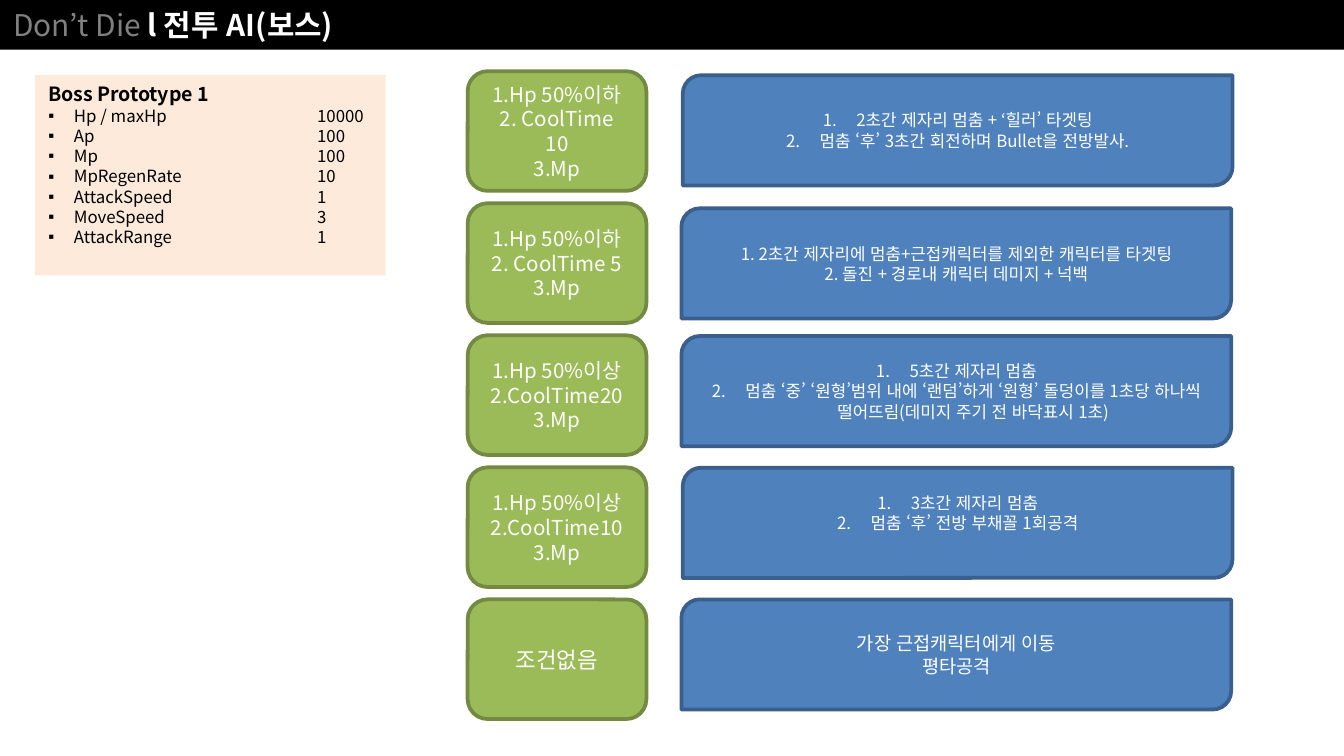
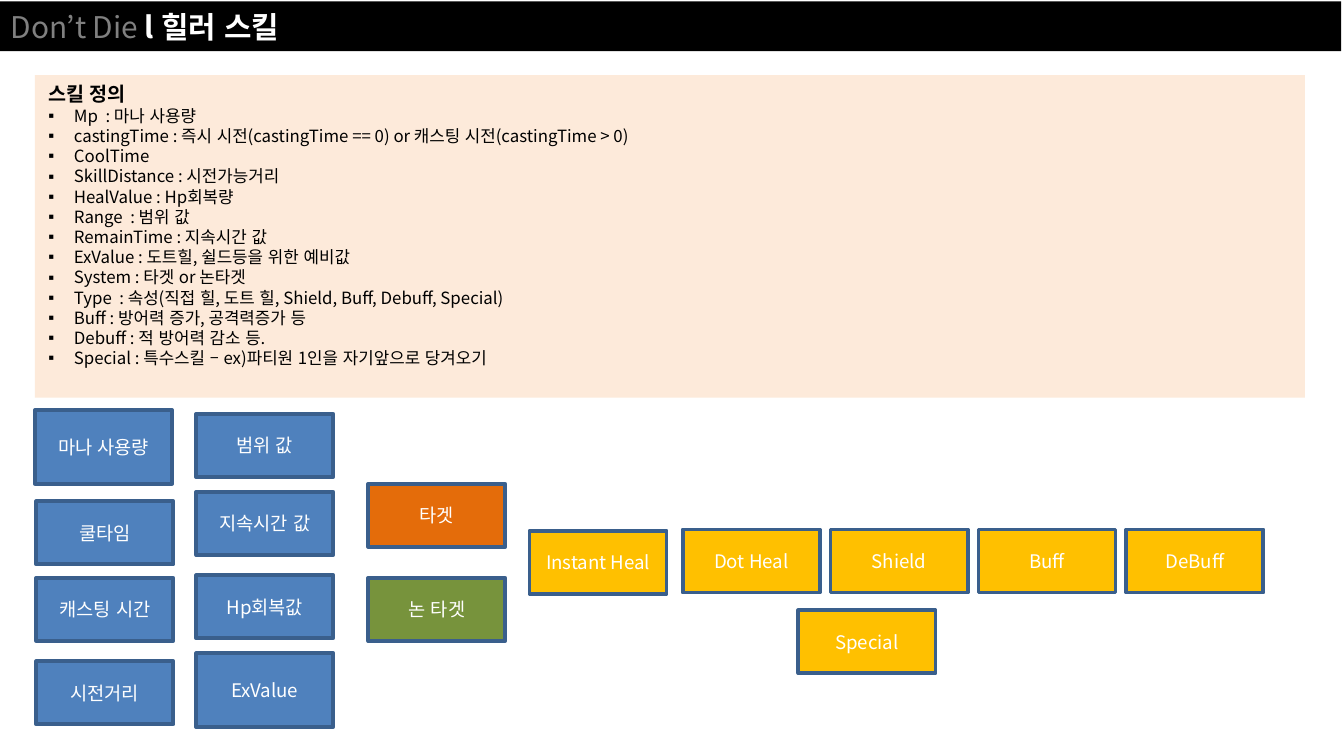
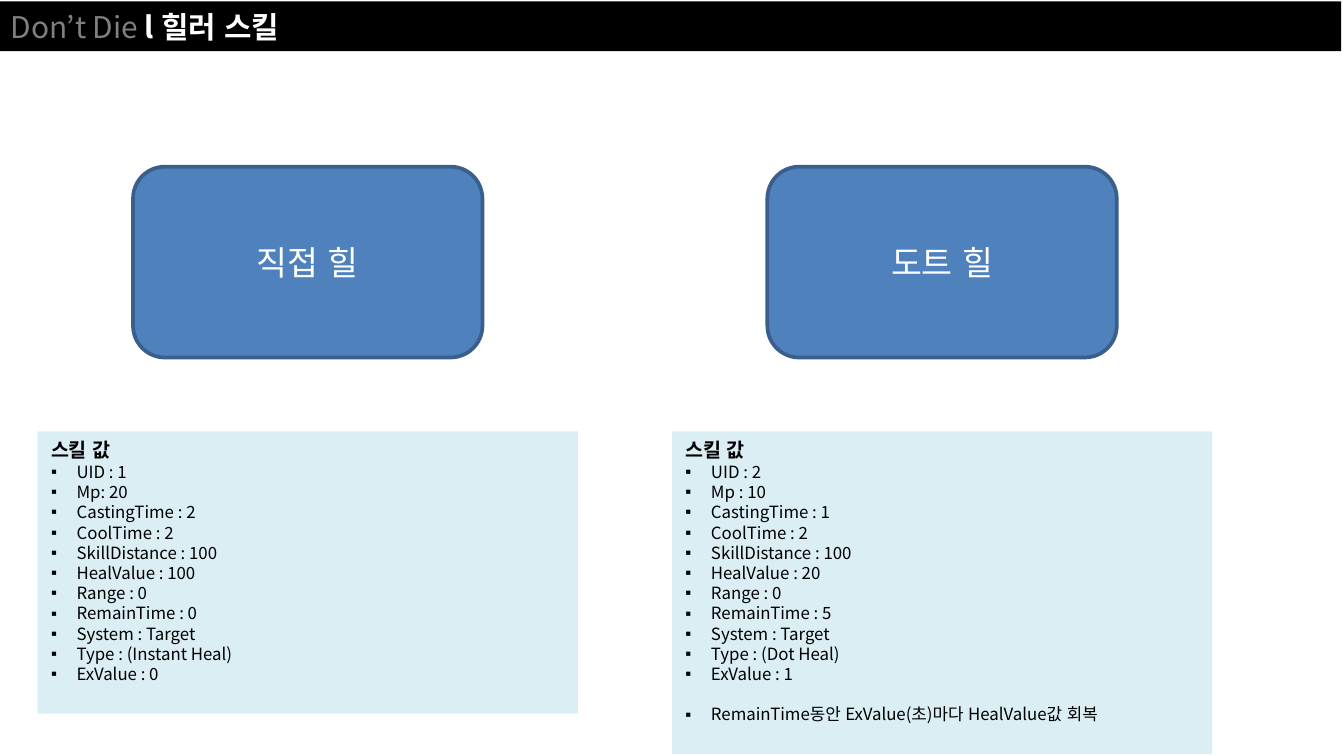
from dataclasses import dataclass
from typing import NamedTuple, Optional

from lxml import etree
from pptx import Presentation
from pptx.dml.color import RGBColor
from pptx.enum.lang import MSO_LANGUAGE_ID
from pptx.enum.shapes import MSO_SHAPE
from pptx.enum.text import MSO_ANCHOR, MSO_AUTO_SIZE, PP_ALIGN
from pptx.oxml.ns import qn
from pptx.util import Inches, Pt

RECTANGLE = MSO_SHAPE.RECTANGLE
ROUNDED = MSO_SHAPE.ROUNDED_RECTANGLE
DIAGONAL = MSO_SHAPE.ROUND_2_DIAG_RECTANGLE
LEFT, CENTER = PP_ALIGN.LEFT, PP_ALIGN.CENTER
TOP, MIDDLE = MSO_ANCHOR.TOP, MSO_ANCHOR.MIDDLE
NO_AUTOFIT = MSO_AUTO_SIZE.NONE
KOREAN = MSO_LANGUAGE_ID.KOREAN

ONE_CONTENT, TWO_CONTENTS = 1, 3
SQUARE_BULLET = "▪"
NUMBERED = "1."


@dataclass(frozen=True)
class Theme:
    font: str = "Noto Sans CJK KR"
    black: str = "000000"
    white: str = "FFFFFF"
    gray: str = "808080"
    peach: str = "FDEADA"
    ice: str = "DBEEF4"
    blue: str = "4F81BD"
    blue_line: str = "3A5F8C"
    green: str = "9BBB59"
    green_line: str = "738A42"
    orange: str = "E46C0A"
    olive: str = "77933C"
    gold: str = "FFC000"
    title_size: float = 16
    hero_size: float = 18
    fallback_size: float = 12
    condition_size: float = 11
    heading_size: float = 10.5
    label_size: float = 10
    body_size: float = 9
    body_line: float = 10.8
    border: float = 2


THEME = Theme()


class Box(NamedTuple):
    left: float
    top: float
    width: float
    height: float


@dataclass(frozen=True)
class Style:
    fill: str
    line: str = THEME.blue_line
    geometry: int = RECTANGLE
    size: float = THEME.label_size
    bullet: Optional[str] = None


@dataclass(frozen=True)
class BossRow:
    conditions: list[str]
    actions: list[str]
    action_left: float
    action_top: float
    bullet: Optional[str] = None
    condition_size: float = THEME.condition_size
    action_size: float = THEME.body_size
    bottom_space: float = 0


@dataclass(frozen=True)
class Chip:
    text: str
    left: float
    top: float
    fill: str = THEME.blue
    height: float = 0.47


@dataclass(frozen=True)
class Heal:
    name: str
    left: float
    panel_height: float
    values: list[str]
    note: Optional[str] = None


def color(value: str) -> RGBColor:
    return RGBColor.from_string(value)


def place(shape, box: Box) -> None:
    shape.left, shape.top = Inches(box.left), Inches(box.top)
    shape.width, shape.height = Inches(box.width), Inches(box.height)


def set_bullet(paragraph, bullet: Optional[str], indent: float) -> None:
    properties = paragraph._p.get_or_add_pPr()
    properties.set("marL", str(Inches(indent)))
    properties.set("indent", str(-Inches(indent)))
    properties.set("defTabSz", str(Inches(1)))
    if bullet is None:
        etree.SubElement(properties, qn("a:buNone"))
    elif bullet == NUMBERED:
        etree.SubElement(properties, qn("a:buFont"), typeface="+mj-lt")
        etree.SubElement(properties, qn("a:buAutoNum"), type="arabicPeriod")
    else:
        etree.SubElement(properties, qn("a:buChar"), char=bullet)


def write(paragraph, text: str, *, size: float, ink: str = THEME.white,
          bold: bool = False, align: int = CENTER, bullet: Optional[str] = None,
          indent: float = 0, before: float = 0) -> None:
    if not paragraph.runs:
        paragraph.alignment = align
        paragraph.space_before = Pt(before)
        paragraph.space_after = Pt(0)
        set_bullet(paragraph, bullet, indent)
    run = paragraph.add_run()
    run.text = text
    run.font.name = THEME.font
    run.font.size = Pt(size)
    run.font.bold = bold
    run.font.language_id = KOREAN
    run.font.color.rgb = color(ink)
    etree.SubElement(run._r.get_or_add_rPr(), qn("a:ea"), typeface=THEME.font)


def prepare_placeholder(shape, box: Box, fill: str, anchor: int):
    place(shape, box)
    shape.fill.solid()
    shape.fill.fore_color.rgb = color(fill)
    frame = shape.text_frame
    frame.word_wrap = True
    frame.auto_size = NO_AUTOFIT
    frame.vertical_anchor = anchor
    return frame


def add_slide(presentation, layout: int, title: str, left: float = -0.02, top: float = 0.01):
    slide = presentation.slides.add_slide(presentation.slide_layouts[layout])
    band = Box(left, top, 10, 0.37)
    frame = prepare_placeholder(slide.shapes.title, band, THEME.black, MIDDLE)
    paragraph = frame.paragraphs[0]
    write(paragraph, "Don’t Die ", size=THEME.title_size, ink=THEME.gray, align=LEFT)
    write(paragraph, f"l {title}", size=THEME.title_size, bold=True)
    return slide


def fill_panel(shape, box: Box, fill: str, heading: str, items: list[str],
               note: Optional[str] = None) -> None:
    frame = prepare_placeholder(shape, box, fill, TOP)
    write(frame.paragraphs[0], heading, size=THEME.heading_size, ink=THEME.black,
          bold=True, align=LEFT)
    entries = [(item, 0) for item in items]
    if note:
        entries.append((note, THEME.body_line))
    for text, before in entries:
        write(frame.add_paragraph(), text, size=THEME.body_size, ink=THEME.black,
              align=LEFT, bullet=SQUARE_BULLET, indent=0.19, before=before)


def add_card(slide, box: Box, lines: list[str], style: Style, bottom_space: float = 0) -> None:
    shape = slide.shapes.add_shape(style.geometry, 0, 0, 0, 0)
    place(shape, box)
    shape.shadow.inherit = False
    shape.fill.solid()
    shape.fill.fore_color.rgb = color(style.fill)
    shape.line.color.rgb = color(style.line)
    shape.line.width = Pt(THEME.border)
    frame = shape.text_frame
    frame.word_wrap = True
    frame.vertical_anchor = MIDDLE
    frame.margin_bottom = Inches(0.05 + bottom_space)
    for index, text in enumerate(lines):
        paragraph = frame.add_paragraph() if index else frame.paragraphs[0]
        write(paragraph, text, size=style.size, bullet=style.bullet,
              indent=0.25 if style.bullet else 0)


BOSS_STATS = {
    "Hp / maxHp": 10000, "Ap": 100, "Mp": 100, "MpRegenRate": 10,
    "AttackSpeed": 1, "MoveSpeed": 3, "AttackRange": 1,
}

FIRST_CONDITION_TOP, LAST_CONDITION_TOP = 0.53, 4.46

BOSS_ROWS = [
    BossRow(["1.Hp 50%이하", "2. CoolTime 10", "3.Mp"],
            ["2초간 제자리 멈춤 + ‘힐러’ 타겟팅",
             "멈춤 ‘후’ 3초간 회전하며 Bullet을 전방발사."],
            5.08, 0.56, NUMBERED),
    BossRow(["1.Hp 50%이하", "2. CoolTime 5", "3.Mp"],
            ["1. 2초간 제자리에 멈춤+근접캐릭터를 제외한 캐릭터를 타겟팅",
             "2. 돌진 + 경로내 캐릭터 데미지 + 넉백"],
            5.07, 1.55),
    BossRow(["1.Hp 50%이상", "2.CoolTime20", "3.Mp"],
            ["5초간 제자리 멈춤",
             "멈춤 ‘중’ ‘원형’범위 내에 ‘랜덤’하게 ‘원형’ 돌덩이를 1초당 하나씩 "
             "떨어뜨림(데미지 주기 전 바닥표시 1초)"],
            5.07, 2.5, NUMBERED),
    BossRow(["1.Hp 50%이상", "2.CoolTime10", "3.Mp"],
            ["3초간 제자리 멈춤", "멈춤 ‘후’ 전방 부채꼴 1회공격"],
            5.08, 3.48, NUMBERED, bottom_space=0.15),
    BossRow(["조건없음"], ["가장 근접캐릭터에게 이동", "평타공격"], 5.07, 4.46,
            condition_size=THEME.fallback_size, action_size=THEME.label_size),
]

SKILL_DEFINITIONS = [
    "Mp  : 마나 사용량",
    "castingTime : 즉시 시전(castingTime == 0) or 캐스팅 시전(castingTime > 0)",
    "CoolTime",
    "SkillDistance : 시전가능거리",
    "HealValue : Hp회복량",
    "Range  : 범위 값",
    "RemainTime : 지속시간 값",
    "ExValue : 도트힐, 쉴드등을 위한 예비값",
    "System : 타겟 or 논타겟",
    "Type  : 속성(직접 힐, 도트 힐, Shield, Buff, Debuff, Special)",
    "Buff : 방어력 증가, 공격력증가 등",
    "Debuff : 적 방어력 감소 등.",
    "Special : 특수스킬 – ex)파티원 1인을 자기앞으로 당겨오기",
]

SKILL_CHIPS = [
    Chip("마나 사용량", 0.26, 3.05, height=0.55),
    Chip("쿨타임", 0.27, 3.73),
    Chip("캐스팅 시간", 0.27, 4.3),
    Chip("시전거리", 0.27, 4.92),
    Chip("범위 값", 1.46, 3.08),
    Chip("지속시간 값", 1.46, 3.66),
    Chip("Hp회복값", 1.46, 4.28),
    Chip("ExValue", 1.46, 4.86, height=0.55),
    Chip("타겟", 2.74, 3.6, THEME.orange),
    Chip("논 타겟", 2.74, 4.3, THEME.olive),
    Chip("Instant Heal", 3.94, 3.95, THEME.gold),
    *(Chip(name, 5.08 + 1.1 * index, 3.94, THEME.gold)
      for index, name in enumerate(["Dot Heal", "Shield", "Buff", "DeBuff"])),
    Chip("Special", 5.94, 4.54, THEME.gold),
]

HEAL_FIELDS = ["CastingTime", "CoolTime", "SkillDistance", "HealValue", "Range",
               "RemainTime", "System", "Type", "ExValue"]

HEALS = [
    Heal("직접 힐", 0.28, 2.1,
         ["UID : 1", "Mp: 20", *map(" : ".join, zip(HEAL_FIELDS, [
             "2", "2", "100", "100", "0", "0", "Target", "(Instant Heal)", "0"]))]),
    Heal("도트 힐", 5, 2.4,
         ["UID : 2", "Mp : 10", *map(" : ".join, zip(HEAL_FIELDS, [
             "1", "2", "100", "20", "0", "5", "Target", "(Dot Heal)", "1"]))],
         "RemainTime동안 ExValue(초)마다 HealValue값 회복"),
]


def build_boss(presentation) -> None:
    slide = add_slide(presentation, ONE_CONTENT, "전투 AI(보스)", left=0, top=0)
    stats = [f"{name}\t\t{value}" for name, value in BOSS_STATS.items()]
    fill_panel(slide.placeholders[1], Box(0.26, 0.56, 2.61, 1.49), THEME.peach,
               "Boss Prototype 1", stats)
    pitch = (LAST_CONDITION_TOP - FIRST_CONDITION_TOP) / (len(BOSS_ROWS) - 1)
    for index, row in enumerate(BOSS_ROWS):
        condition_top = FIRST_CONDITION_TOP + pitch * index
        add_card(slide, Box(3.48, condition_top, 1.33, 0.89), row.conditions,
                 Style(THEME.green, THEME.green_line, ROUNDED, row.condition_size))
        add_card(slide, Box(row.action_left, row.action_top, 4.09, 0.82), row.actions,
                 Style(THEME.blue, geometry=DIAGONAL, size=row.action_size,
                       bullet=row.bullet), row.bottom_space)


def build_skills(presentation) -> None:
    slide = add_slide(presentation, ONE_CONTENT, "힐러 스킬")
    fill_panel(slide.placeholders[1], Box(0.26, 0.56, 9.45, 2.4), THEME.peach,
               "스킬 정의", SKILL_DEFINITIONS)
    for chip in SKILL_CHIPS:
        add_card(slide, Box(chip.left, chip.top, 1.02, chip.height), [chip.text],
                 Style(chip.fill))


def build_heals(presentation) -> None:
    slide = add_slide(presentation, TWO_CONTENTS, "힐러 스킬")
    hero = Style(THEME.blue, geometry=ROUNDED, size=THEME.hero_size)
    for index, heal in enumerate(HEALS, start=1):
        fill_panel(slide.placeholders[index], Box(heal.left, 3.21, 4.02, heal.panel_height),
                   THEME.ice, "스킬 값", heal.values, heal.note)
        add_card(slide, Box(heal.left + 0.71, 1.24, 2.6, 1.42), [heal.name], hero)


def main() -> None:
    presentation = Presentation()
    presentation.slide_width = Inches(10)
    presentation.slide_height = presentation.slide_width * 9 // 16
    build_boss(presentation)
    build_skills(presentation)
    build_heals(presentation)
    presentation.save("out.pptx")


if __name__ == "__main__":
    main()
